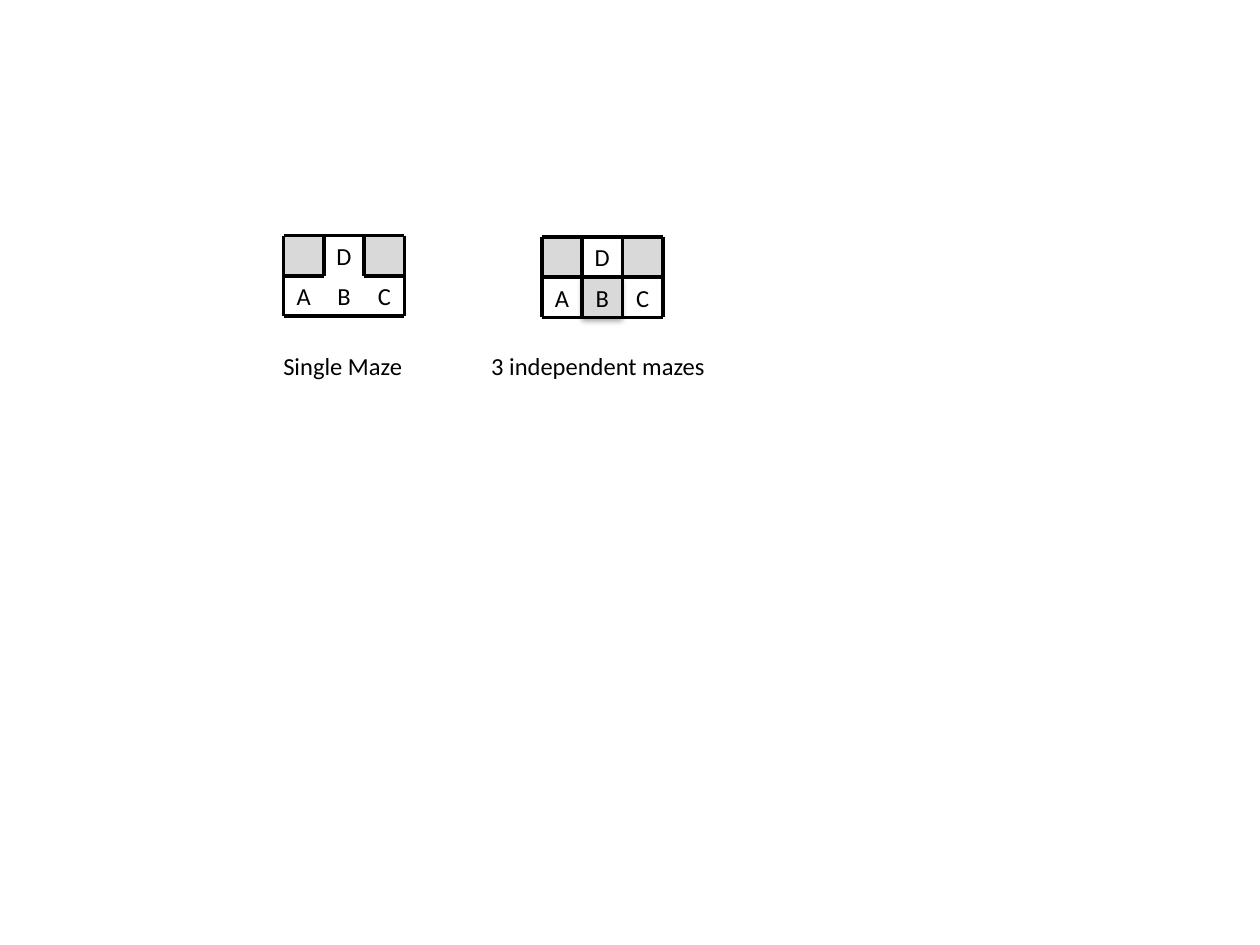
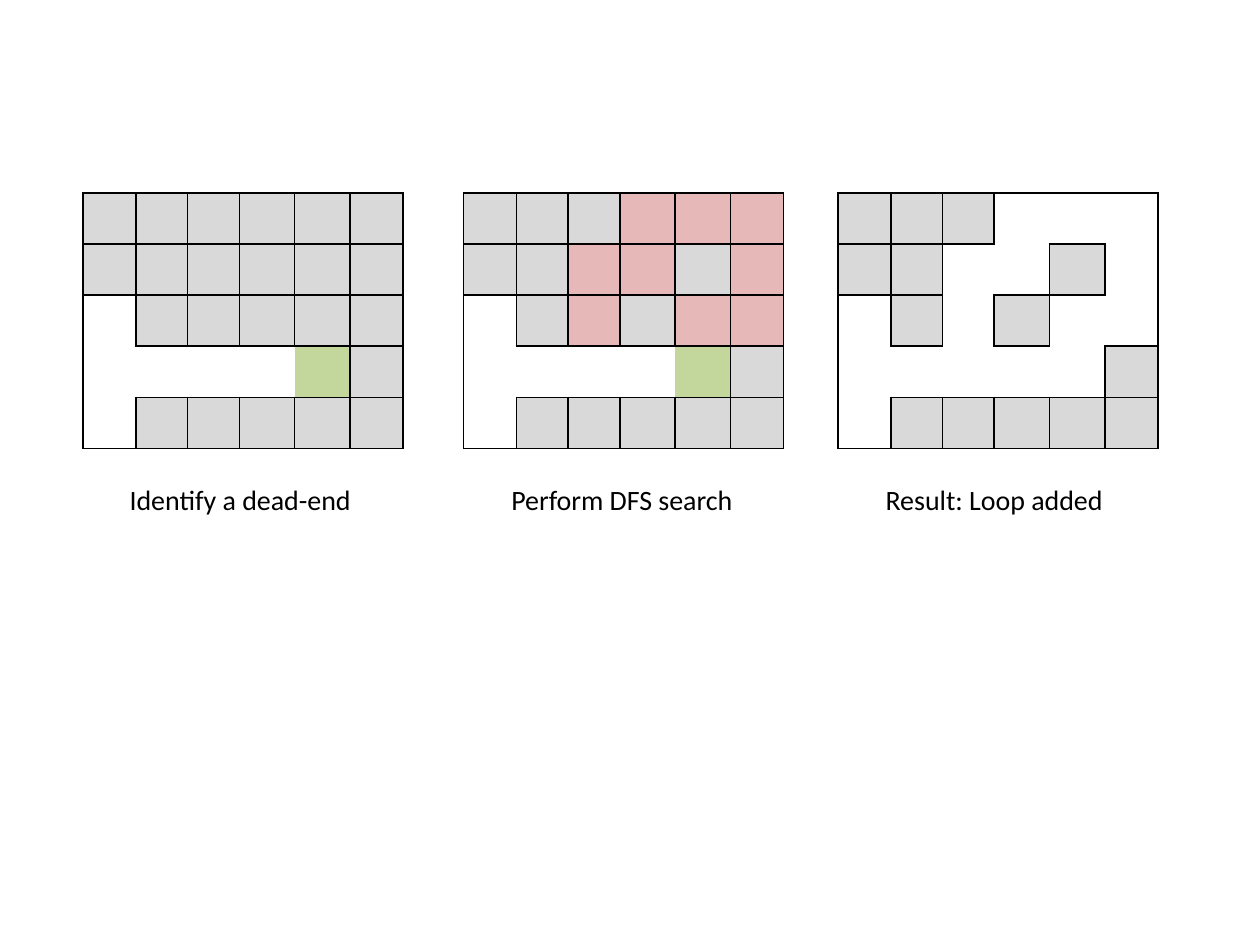
import pptx
import pptx.dml.color
import pptx.enum.shapes
import pptx.enum.text
import pptx.oxml.ns
import pptx.util
from lxml import etree

Inches = pptx.util.Inches
RGBColor = pptx.dml.color.RGBColor

BLACK = RGBColor(0x00, 0x00, 0x00)
WHITE = RGBColor(0xFF, 0xFF, 0xFF)
GREY = RGBColor(0xD9, 0xD9, 0xD9)
GREEN = RGBColor(0xC3, 0xD6, 0x9B)
PINK = RGBColor(0xE6, 0xB9, 0xB8)
FONT = "Calibri"

# Grid marks: "#" blocked, "p" on the search route, "e" dead end, "." open
CELL_FILLS = {"#": GREY, "p": PINK, "e": GREEN, ".": WHITE}
BLOCKED = "#p"

MAZE_CELL = 0.32
MAZE_LETTERS = [" D ", "ABC"]
COLUMN_WIDTHS = [0.42, 0.41, 0.41, 0.44, 0.44, 0.42]
TABLE_TOP, TABLE_WIDTH, TABLE_HEIGHT = 1.53, 2.53, 2.03


def has_wall(grid, first, second):
    """Two neighbours share a wall unless both are open cells of the grid."""
    def is_open(row, column):
        inside = 0 <= row < len(grid) and 0 <= column < len(grid[0])
        return inside and grid[row][column] not in BLOCKED
    return not (is_open(*first) and is_open(*second))


def write_text(shape, text, size=14, align=None, anchor=None, margin=None, wrap=False):
    frame = shape.text_frame
    frame.word_wrap = wrap
    if anchor is not None:
        frame.vertical_anchor = anchor
    if margin is not None:
        frame.margin_left = frame.margin_right = margin
        frame.margin_top = frame.margin_bottom = margin
    paragraph = frame.paragraphs[0]
    paragraph.alignment = align
    run = paragraph.add_run()
    run.text = text
    run.font.name = FONT
    run.font.size = pptx.util.Pt(size)
    run.font.color.rgb = BLACK


def add_element(parent, tag, **attributes):
    return etree.SubElement(parent, pptx.oxml.ns.qn(tag), **attributes)


class Deck:
    def __init__(self):
        self.presentation = pptx.Presentation()
        self.presentation.slide_width = Inches(10)
        self.presentation.slide_height = Inches(7.5)
        self.slide = None

    def new_slide(self):
        self.slide = self.presentation.slides.add_slide(self.presentation.slide_layouts[6])

    def caption(self, text, left, top, width, height, size):
        box = self.slide.shapes.add_textbox(
            Inches(left), Inches(top), Inches(width), Inches(height))
        write_text(box, text, size=size)
        box.text_frame.auto_size = pptx.enum.text.MSO_AUTO_SIZE.SHAPE_TO_FIT_TEXT

    def letter(self, shape, text):
        write_text(shape, text, align=pptx.enum.text.PP_ALIGN.CENTER,
                   anchor=pptx.enum.text.MSO_ANCHOR.MIDDLE, margin=0)

    def block(self, left, top, text):
        """A blocked maze cell; one that carries a letter casts a shadow."""
        block = self.slide.shapes.add_shape(
            pptx.enum.shapes.MSO_SHAPE.RECTANGLE,
            Inches(left), Inches(top), Inches(MAZE_CELL), Inches(MAZE_CELL))
        block.fill.solid()
        block.fill.fore_color.rgb = GREY
        block.line.fill.background()
        block.shadow.inherit = False
        if text.strip():
            self.letter(block, text)
            effects = block._element.spPr.find(pptx.oxml.ns.qn("a:effectLst"))
            shadow = add_element(effects, "a:outerShdw", blurRad="40000", dist="23000",
                                 dir="5400000", rotWithShape="0")
            color = add_element(shadow, "a:srgbClr", val=str(BLACK))
            add_element(color, "a:alpha", val="35000")

    def wall(self, x1, y1, x2, y2):
        wall = self.slide.shapes.add_connector(
            pptx.enum.shapes.MSO_CONNECTOR.STRAIGHT,
            Inches(x1), Inches(y1), Inches(x2), Inches(y2))
        wall.line.color.rgb = BLACK
        wall.line.width = pptx.util.Pt(2)
        add_element(wall._element.spPr, "a:effectLst")

    def maze(self, left, top, grid):
        row_count, column_count = len(grid), len(grid[0])
        # Cells
        for row in range(row_count):
            for column in range(column_count):
                x, y = left + column * MAZE_CELL, top + row * MAZE_CELL
                text = MAZE_LETTERS[row][column]
                if grid[row][column] in BLOCKED:
                    self.block(x, y, text)
                else:
                    box = self.slide.shapes.add_textbox(
                        Inches(x), Inches(y), Inches(MAZE_CELL), Inches(MAZE_CELL))
                    self.letter(box, text)
        # Walls above and to the left of each cell, plus the far edges
        for row in range(row_count + 1):
            for column in range(column_count + 1):
                x, y = left + column * MAZE_CELL, top + row * MAZE_CELL
                if column < column_count and has_wall(grid, (row - 1, column), (row, column)):
                    self.wall(x, y, x + MAZE_CELL, y)
                if row < row_count and has_wall(grid, (row, column - 1), (row, column)):
                    self.wall(x, y, x, y + MAZE_CELL)

    def border(self, cell, side, visible):
        line = add_element(cell._tc.get_or_add_tcPr(), "a:" + side,
                           w=str(pptx.util.Pt(1)))
        if visible:
            fill = add_element(line, "a:solidFill")
            add_element(fill, "a:srgbClr", val=str(BLACK))
        else:
            add_element(line, "a:noFill")

    def maze_table(self, left, grid):
        table = self.slide.shapes.add_table(
            len(grid), len(COLUMN_WIDTHS), Inches(left), Inches(TABLE_TOP),
            Inches(TABLE_WIDTH), Inches(TABLE_HEIGHT)).table
        table.first_row = table.horz_banding = False
        for column, width in zip(table.columns, COLUMN_WIDTHS):
            column.width = Inches(width)
        for row, marks in enumerate(grid):
            for column, mark in enumerate(marks):
                cell = table.cell(row, column)
                neighbours = {"lnL": (row, column - 1), "lnR": (row, column + 1),
                              "lnT": (row - 1, column), "lnB": (row + 1, column)}
                for side, neighbour in neighbours.items():
                    self.border(cell, side, has_wall(grid, (row, column), neighbour))
                cell.fill.solid()
                cell.fill.fore_color.rgb = CELL_FILLS[mark]


def main():
    deck = Deck()

    # Slide 1: connected and separated mazes
    deck.new_slide()
    deck.maze(2.25, 1.87, ["#.#", "..."])
    deck.maze(4.3, 1.88, ["#.#", ".#."])
    deck.caption("Single Maze", 2.15, 2.74, 1.16, 0.34, size=14)
    deck.caption("3 independent mazes", 3.8, 2.74, 1.91, 0.34, size=14)

    # Slide 2: steps that add a loop
    deck.new_slide()
    steps = [
        (0.66, 0.93, 1.98, "Identify a dead-end",
         ["######", "######", ".#####", "....e#", ".#####"]),
        (3.68, 3.96, 1.98, "Perform DFS search",
         ["###ppp", "##pp#p", ".#p#pp", "....e#", ".#####"]),
        (6.65, 6.93, 1.95, "Result: Loop added",
         ["###...", "##..#.", ".#.#..", ".....#", ".#####"]),
    ]
    for table_left, caption_left, caption_width, text, grid in steps:
        deck.maze_table(table_left, grid)
        deck.caption(text, caption_left, 3.78, caption_width, 0.37, size=16)

    deck.presentation.save("out.pptx")


if __name__ == "__main__":
    main()
